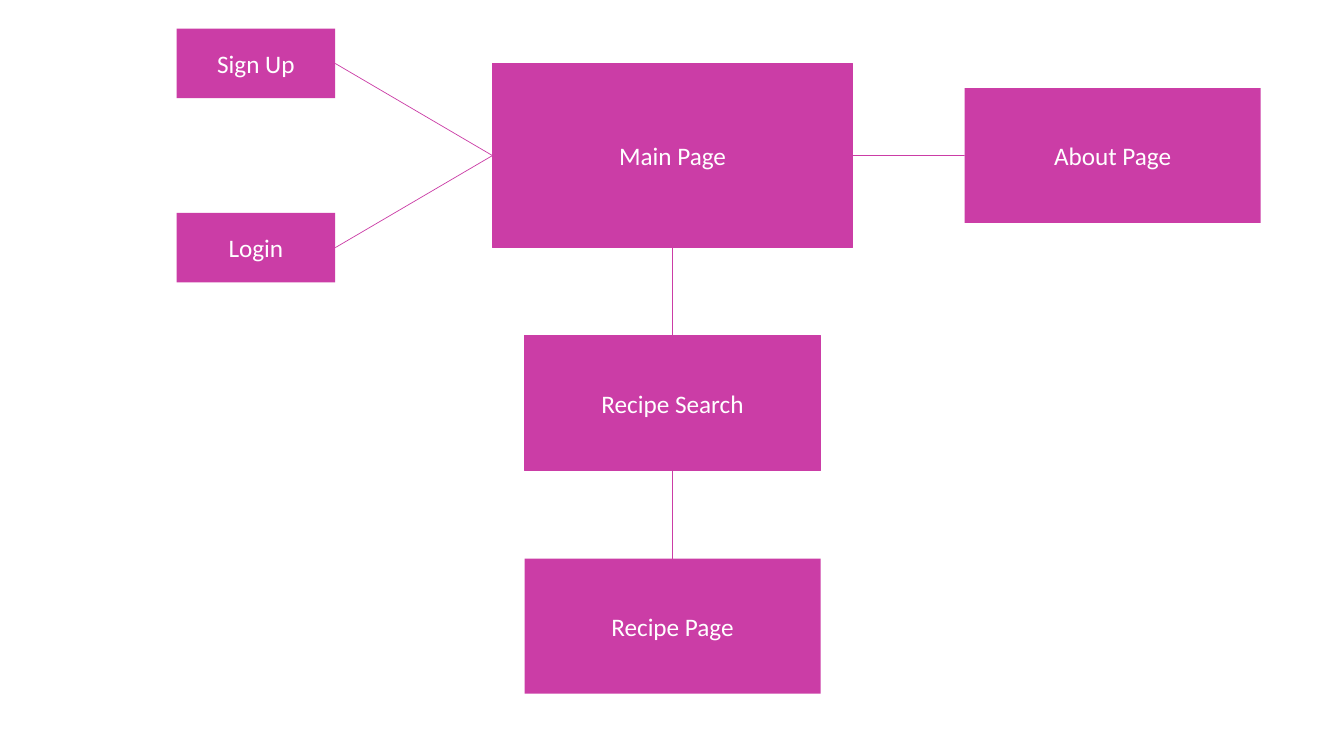
from dataclasses import dataclass

from pptx import Presentation
from pptx import util as u
from pptx.dml.color import RGBColor
from pptx.enum import shapes, text
from pptx.oxml.ns import qn
from lxml import etree

TOP, LEFT, BOTTOM, RIGHT = range(4)  # connection sites of a rectangle


@dataclass(frozen=True)
class Theme:
    accent: RGBColor = RGBColor(0xCB, 0x3D, 0xA6)
    label: RGBColor = RGBColor(0xFF, 0xFF, 0xFF)
    font: str = "Calibri"
    label_size: int = u.Pt(18)
    outline: int = u.Pt(1)
    link: int = u.Pt(0.5)


class SiteMap:
    def __init__(self, slide, theme):
        self.slide = slide
        self.theme = theme

    def box(self, label, center, size, outlined=False):
        """Add a labelled rectangle; center and size are pairs in centimetres."""
        (x, y), (width, height) = center, size
        box = self.slide.shapes.add_shape(
            shapes.MSO_SHAPE.RECTANGLE,
            u.Cm(x - width / 2), u.Cm(y - height / 2), u.Cm(width), u.Cm(height))
        box.shadow.inherit = False
        box.fill.solid()
        box.fill.fore_color.rgb = self.theme.accent
        if outlined:
            box.line.color.rgb = self.theme.accent
            box.line.width = self.theme.outline
        else:
            box.line.fill.background()
        self.label(box, label)
        return box

    def label(self, box, label):
        frame = box.text_frame
        frame.word_wrap = True
        frame.vertical_anchor = text.MSO_ANCHOR.MIDDLE
        para = frame.paragraphs[0]
        para.alignment = text.PP_ALIGN.CENTER
        span = para.add_run()
        span.text = label
        span.font.name = self.theme.font
        span.font.size = self.theme.label_size
        span.font.color.rgb = self.theme.label

    def link(self, start, start_site, end, end_site):
        line = self.slide.shapes.add_connector(
            shapes.MSO_CONNECTOR.STRAIGHT, 0, 0, 0, 0)
        line.begin_connect(start, start_site)
        line.end_connect(end, end_site)
        line.line.color.rgb = self.theme.accent
        line.line.width = self.theme.link
        etree.SubElement(line._element.spPr, qn("a:effectLst"))


def main():
    deck = Presentation()
    deck.slide_width, deck.slide_height = u.Cm(33.87), u.Cm(19.05)
    site = SiteMap(deck.slides.add_slide(deck.slide_layouts[6]), Theme())

    main_size, page_size, entry_size = (9.08, 4.64), (7.46, 3.4), (4, 1.75)
    column_x, row_y = 16.95, 3.92
    entry_x, entry_offset = 6.45, main_size[1] / 2
    search_y, page_step = 10.16, 5.62

    main_page = site.box("Main Page", (column_x, row_y), main_size, outlined=True)
    sign_up = site.box("Sign Up", (entry_x, row_y - entry_offset), entry_size)
    login = site.box("Login", (entry_x, row_y + entry_offset), entry_size)
    about = site.box("About Page", (28.04, row_y), page_size)
    search = site.box("Recipe Search", (column_x, search_y), page_size, outlined=True)
    recipe = site.box("Recipe Page", (column_x, search_y + page_step), page_size)

    site.link(main_page, RIGHT, about, LEFT)
    site.link(main_page, BOTTOM, search, TOP)
    site.link(search, BOTTOM, recipe, TOP)
    for entry in (login, sign_up):
        site.link(entry, RIGHT, main_page, LEFT)

    deck.save("out.pptx")


if __name__ == "__main__":
    main()
